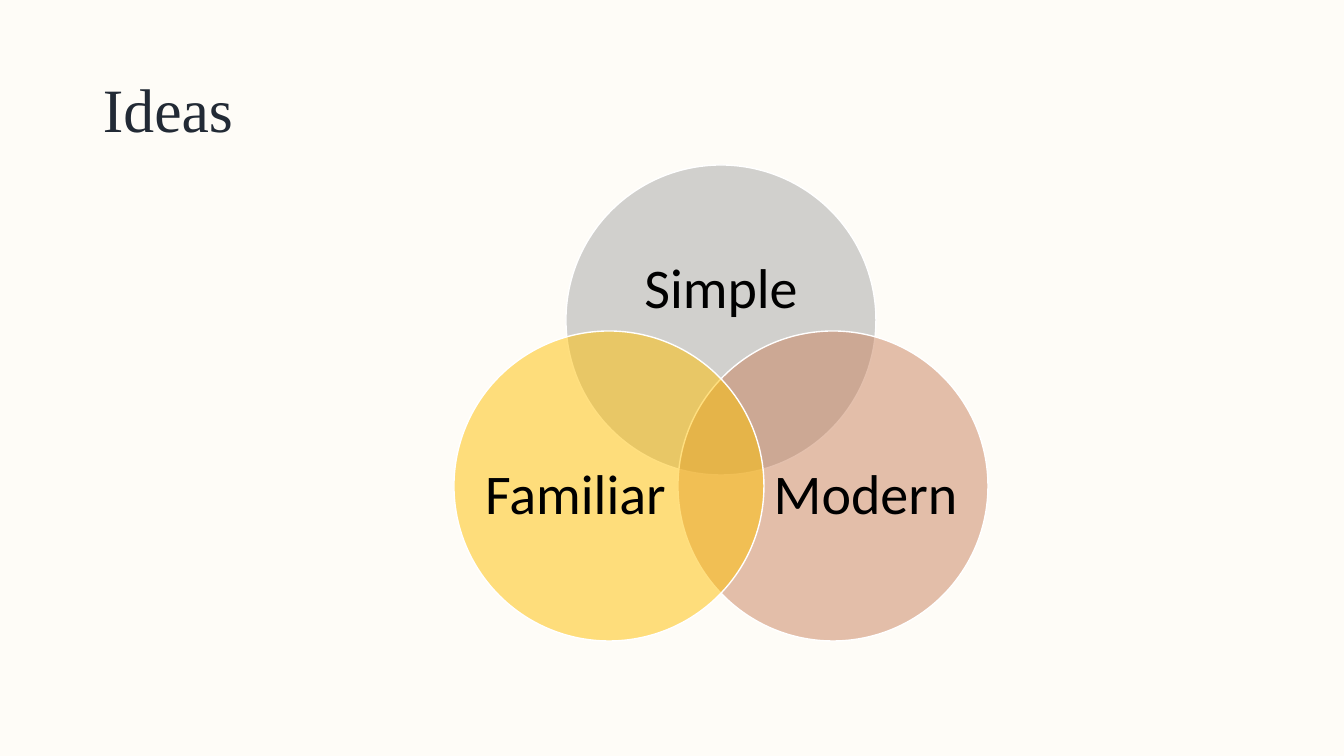
from dataclasses import dataclass

from pptx import Presentation
from pptx import util as u
from pptx.dml.color import RGBColor
from pptx.enum import shapes, text
from pptx.oxml.ns import qn
from lxml import etree

EMU_PER_PX = 12192000 / 1344


def px(length):
    """Turn a length in px into EMU."""
    return u.Emu(round(length * EMU_PER_PX))


@dataclass(frozen=True)
class Theme:
    """Colours, fonts and type sizes of the slide."""

    background: str = "FEFCF7"
    title_color: str = "222A35"
    label_color: str = "000000"
    outline: str = "FFFFFF"
    simple: str = "A5A5A5"
    modern: str = "C9825C"
    familiar: str = "FFC000"
    title_font: str = "Times New Roman"
    label_font: str = "Calibri"
    title_size: int = 44
    label_size: int = 40
    opacity: int = 50


class SlideBuilder:
    """Draws styled elements on the current slide."""

    def __init__(self, slide, theme):
        self.slide = slide
        self.theme = theme
        fill = slide.background.fill
        fill.solid()
        fill.fore_color.rgb = RGBColor.from_string(theme.background)

    def add_line(self, area, words, font, size, color, align, inset):
        """Add one line of text, centred vertically in its area."""
        box = self.slide.shapes.add_textbox(*map(px, area))
        frame = box.text_frame
        frame.word_wrap = True
        frame.vertical_anchor = text.MSO_ANCHOR.MIDDLE
        frame.margin_left = frame.margin_right = px(inset)
        frame.margin_top = frame.margin_bottom = px(inset // 2)
        para = frame.paragraphs[0]
        para.text = words
        para.alignment = align
        para.line_spacing = 0.9
        para.font.name = font
        para.font.size = u.Pt(size)
        para.font.color.rgb = RGBColor.from_string(color)

    def title(self, area, words):
        """Add the slide title."""
        theme = self.theme
        self.add_line(area, words, theme.title_font, theme.title_size,
                      theme.title_color, text.PP_ALIGN.LEFT, 10)

    def label(self, area, words):
        """Add a centred circle label."""
        theme = self.theme
        self.add_line(area, words, theme.label_font, theme.label_size,
                      theme.label_color, text.PP_ALIGN.CENTER, 0)

    def circle(self, left, top, diameter, color):
        """Add a translucent circle with a thin outline."""
        circle = self.slide.shapes.add_shape(
            shapes.MSO_SHAPE.OVAL, *map(px, (left, top, diameter, diameter)))
        circle.shadow.inherit = False
        circle.fill.solid()
        circle.fill.fore_color.rgb = RGBColor.from_string(color)
        shade = circle.element.spPr.find(qn("a:solidFill"))[0]
        alpha = etree.SubElement(shade, qn("a:alpha"))
        alpha.set("val", str(self.theme.opacity * 1000))
        circle.line.color.rgb = RGBColor.from_string(self.theme.outline)
        circle.line.width = u.Pt(1)


def main():
    """Build the Venn diagram slide."""
    deck = Presentation()
    deck.slide_width, deck.slide_height = px(1344), px(756)
    theme = Theme()
    page = SlideBuilder(deck.slides.add_slide(deck.slide_layouts[6]), theme)
    page.title((93, 40, 1159, 146), "Ideas")

    diameter, left, top, shift, drop = 310, 566, 165, 112, 166
    venn = [
        ("Simple", theme.simple, 0, 0, (607, 220, 228, 140)),
        ("Modern", theme.modern, shift, drop, (772, 411, 187, 170)),
        ("Familiar", theme.familiar, -shift, drop, (482, 411, 187, 170)),
    ]
    for words, color, across, down, label_area in venn:
        page.circle(left + across, top + down, diameter, color)
        page.label(label_area, words)
    deck.save("out.pptx")


if __name__ == "__main__":
    main()
